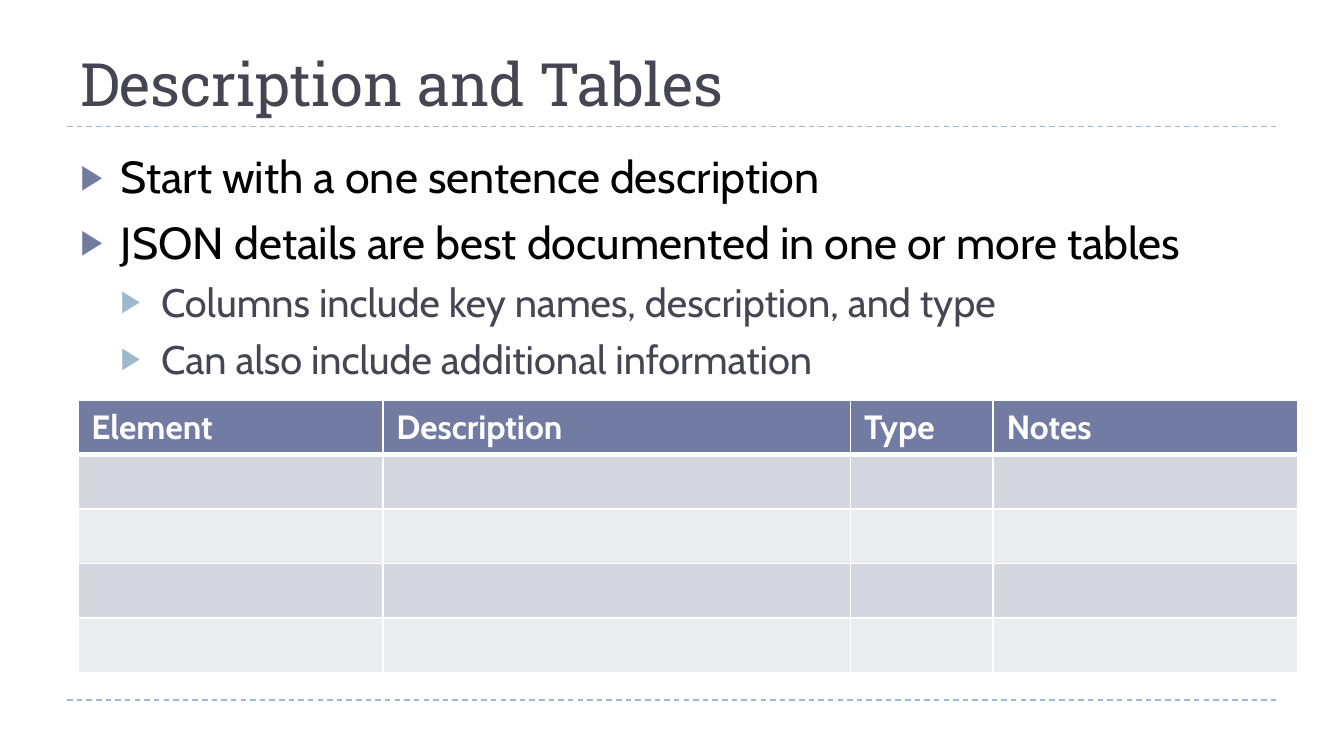
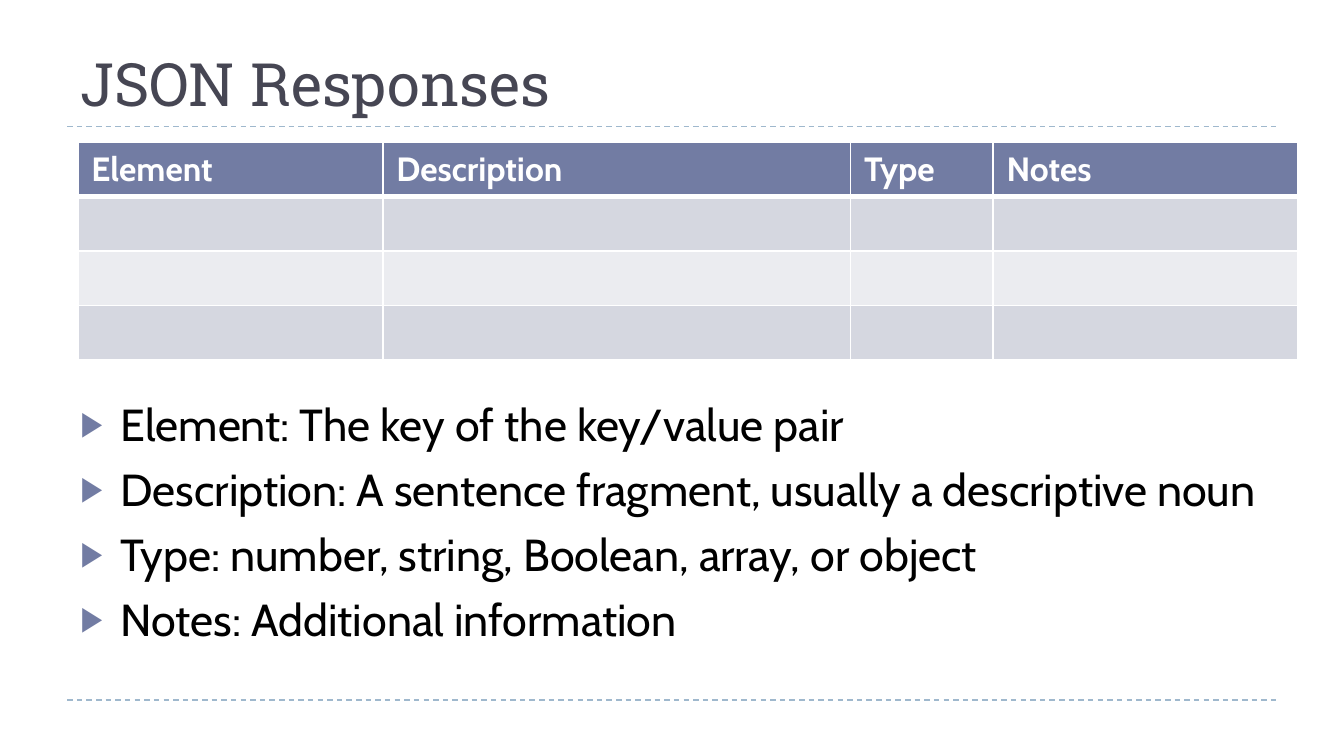
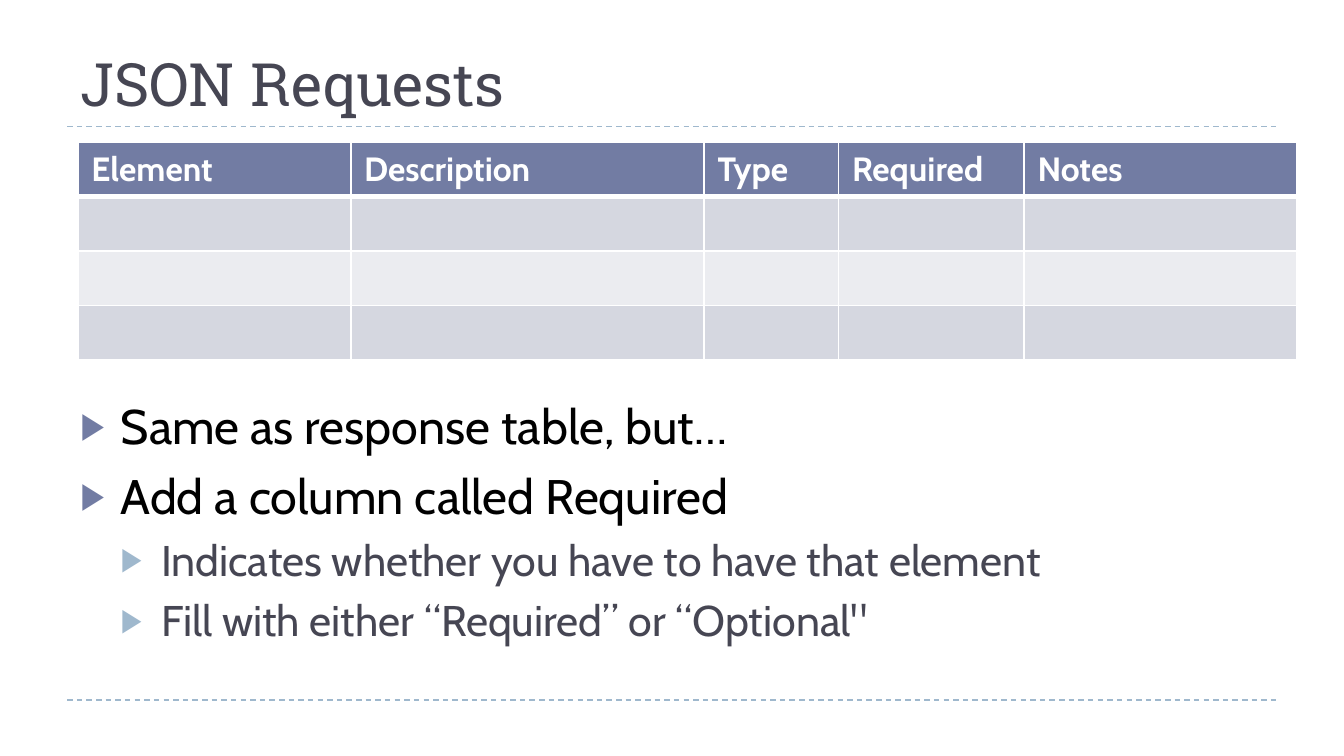
from dataclasses import dataclass

from lxml.etree import SubElement
from pptx import Presentation
from pptx.dml.color import RGBColor
from pptx.enum.dml import MSO_LINE_DASH_STYLE as Dash
from pptx.enum.shapes import MSO_CONNECTOR as Connector
from pptx.enum.text import MSO_ANCHOR as Anchor
from pptx.oxml.ns import qn
from pptx.util import Inches, Pt


@dataclass(frozen=True)
class Theme:
    heading_font: str = "Roboto Slab"
    body_font: str = "Cabin"
    ink: str = "000000"
    slate: str = "464653"
    indigo: str = "727CA3"
    sky: str = "9FB8CD"
    white: str = "FFFFFF"
    bands: tuple = ("D5D7E0", "EBECF0")
    title_size: float = 32
    header_size: float = 18
    compact_sizes: tuple = (24.05, 21.3)
    full_sizes: tuple = (26, 23)
    rule_width: float = 0.75
    grid_width: float = 1
    header_rule_width: float = 3
    bullet_percent: int = 76


THEME = Theme()
LEVELS = ((THEME.ink, THEME.indigo, 6), (THEME.slate, THEME.sky, 5))
INDENT = 0.3
MARGIN = 0.5
CONTENT_WIDTH = 9
RULES = (0.94, 5.21)
TITLE_BOX = (MARGIN, 0.12, CONTENT_WIDTH, 0.81)
UPPER_TEXT = (MARGIN, 1.06, CONTENT_WIDTH, 1.75)
LOWER_TEXT = (MARGIN, 2.9, CONTENT_WIDTH, 2.17)
TABLE_LEFT = 0.58
ROW_HEIGHT = Inches(1.62) // 4
UPPER_TABLE, LOWER_TABLE = 1.06, 2.98
RESPONSE_COLUMNS = {"Element": 2.27, "Description": 3.48, "Type": 1.06, "Notes": 2.27}
REQUEST_COLUMNS = {"Element": 2.03, "Description": 2.63, "Type": 1,
                   "Required": 1.38, "Notes": 2.03}


def add_run(paragraph, text, font_name, size, color, bold=False):
    run = paragraph.add_run()
    run.text = text
    run.font.name = font_name
    run.font.size = Pt(size)
    run.font.bold = bold
    run.font.color.rgb = RGBColor.from_string(color)


def add_text_frame(slide, box, anchor=Anchor.TOP):
    frame = slide.shapes.add_textbox(*map(Inches, box)).text_frame
    frame.word_wrap = True
    frame.vertical_anchor = anchor
    return frame


def add_rule(slide, top):
    rule = slide.shapes.add_connector(
        Connector.STRAIGHT, Inches(MARGIN), Inches(top),
        Inches(MARGIN + CONTENT_WIDTH), Inches(top))
    rule.line.color.rgb = RGBColor.from_string(THEME.sky)
    rule.line.width = Pt(THEME.rule_width)
    rule.line.dash_style = Dash.DASH
    SubElement(rule._element.spPr, qn("a:effectLst"))


def add_titled_slide(deck, title):
    slide = deck.slides.add_slide(deck.slide_layouts[6])
    for top in RULES:
        add_rule(slide, top)
    heading = add_text_frame(slide, TITLE_BOX, Anchor.BOTTOM).paragraphs[0]
    add_run(heading, title, THEME.heading_font, THEME.title_size, THEME.slate)
    return slide


def set_bullet(paragraph, level, color):
    properties = paragraph._p.get_or_add_pPr()
    properties.set("marL", str(Inches(INDENT * (level + 1))))
    properties.set("indent", str(-Inches(INDENT)))
    bullet_color = SubElement(properties, qn("a:buClr"))
    SubElement(bullet_color, qn("a:srgbClr"), val=color)
    SubElement(properties, qn("a:buSzPct"), val=str(THEME.bullet_percent * 1000))
    SubElement(properties, qn("a:buFont"), typeface=THEME.body_font)
    SubElement(properties, qn("a:buChar"), char="▶")


def add_bullets(slide, box, points, sizes):
    frame = add_text_frame(slide, box)
    for index, (level, text) in enumerate(points):
        point = frame.add_paragraph() if index else frame.paragraphs[0]
        text_color, bullet_color, space_before = LEVELS[level]
        set_bullet(point, level, bullet_color)
        point.level = level
        if index:
            point.space_before = Pt(space_before)
        add_run(point, text, THEME.body_font, sizes[level], text_color)


def set_borders(cell, top_width, bottom_width):
    properties = cell._tc.get_or_add_tcPr()
    widths = {"L": THEME.grid_width, "R": THEME.grid_width,
              "T": top_width, "B": bottom_width}
    for side, width in widths.items():
        border = SubElement(properties, qn(f"a:ln{side}"), w=str(Pt(width)))
        fill = SubElement(border, qn("a:solidFill"))
        SubElement(fill, qn("a:srgbClr"), val=THEME.white)


def add_field_table(slide, top, columns, blank_rows):
    row_count = blank_rows + 1
    table = slide.shapes.add_table(
        row_count, len(columns), Inches(TABLE_LEFT), Inches(top),
        Inches(sum(columns.values())), ROW_HEIGHT * row_count).table
    for column, width in zip(table.columns, columns.values()):
        column.width = Inches(width)
    for index, row in enumerate(table.rows):
        row.height = ROW_HEIGHT
        top_width = THEME.header_rule_width if index == 1 else THEME.grid_width
        bottom_width = THEME.header_rule_width if index == 0 else THEME.grid_width
        color = THEME.bands[(index - 1) % 2] if index else THEME.indigo
        for cell in row.cells:
            set_borders(cell, top_width, bottom_width)
            cell.fill.solid()
            cell.fill.fore_color.rgb = RGBColor.from_string(color)
            cell.text_frame.paragraphs[0].font.size = Pt(THEME.header_size)
    for cell, label in zip(table.rows[0].cells, columns):
        add_run(cell.text_frame.paragraphs[0], label, THEME.body_font,
                THEME.header_size, THEME.white, bold=True)


def build_description(deck):
    slide = add_titled_slide(deck, "Description and Tables")
    add_bullets(slide, UPPER_TEXT, (
        (0, "Start with a one sentence description"),
        (0, "JSON details are best documented in one or more tables"),
        (1, "Columns include key names, description, and type"),
        (1, "Can also include additional information"),
    ), THEME.compact_sizes)
    add_field_table(slide, LOWER_TABLE, RESPONSE_COLUMNS, 4)


def build_responses(deck):
    slide = add_titled_slide(deck, "JSON Responses")
    add_bullets(slide, LOWER_TEXT, (
        (0, "Element: The key of the key/value pair"),
        (0, "Description: A sentence fragment, usually a descriptive noun"),
        (0, "Type: number, string, Boolean, array, or object"),
        (0, "Notes: Additional information"),
    ), THEME.compact_sizes)
    add_field_table(slide, UPPER_TABLE, RESPONSE_COLUMNS, 3)


def build_requests(deck):
    slide = add_titled_slide(deck, "JSON Requests")
    add_bullets(slide, LOWER_TEXT, (
        (0, "Same as response table, but…"),
        (0, "Add a column called Required"),
        (1, "Indicates whether you have to have that element"),
        (1, "Fill with either “Required” or “Optional\""),
    ), THEME.full_sizes)
    add_field_table(slide, UPPER_TABLE, REQUEST_COLUMNS, 3)


def main():
    deck = Presentation()
    deck.slide_width = Inches(10)
    deck.slide_height = deck.slide_width * 9 // 16
    build_description(deck)
    build_responses(deck)
    build_requests(deck)
    deck.save("out.pptx")


if __name__ == "__main__":
    main()
